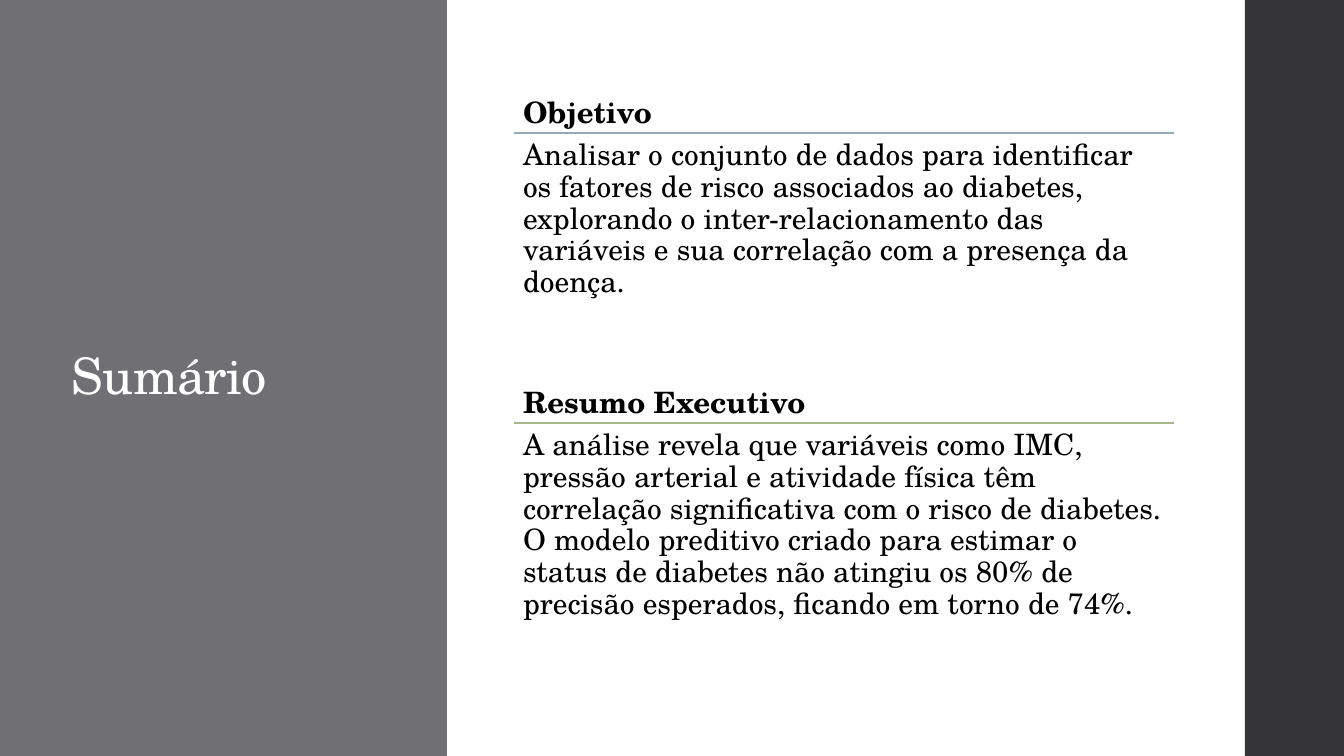
"""Build the summary slide with its objective and executive overview."""
from lxml import etree
from pptx import Presentation
from pptx.dml.color import RGBColor
from pptx.enum.shapes import MSO_CONNECTOR, MSO_SHAPE
from pptx.enum.text import MSO_ANCHOR
from pptx.oxml.ns import qn
from pptx.util import Emu, Pt

RECTANGLE = MSO_SHAPE.RECTANGLE
STRAIGHT = MSO_CONNECTOR.STRAIGHT
TOP = MSO_ANCHOR.TOP
MIDDLE = MSO_ANCHOR.MIDDLE
EMU_PER_PX = 12192000 / 1344
FONT = "TeX Gyre Schola"


def px(length):
    return Emu(round(length * EMU_PER_PX))


def color(hex_string):
    return RGBColor.from_string(hex_string)


presentation = Presentation()
presentation.slide_width = px(1344)
presentation.slide_height = px(756)
slide = presentation.slides.add_slide(presentation.slide_layouts[6])

for left, width, fill in [(0, 447, "6F6F74"), (1245, 99, "353537")]:
    panel = slide.shapes.add_shape(RECTANGLE, px(left), 0, px(width), px(756))
    panel.shadow.inherit = False
    panel.fill.solid()
    panel.fill.fore_color.rgb = color(fill)
    panel.line.fill.background()

sections = [
    (89, "92A9B9", "Objetivo",
     "Analisar o conjunto de dados para identificar os fatores de risco "
     "associados ao diabetes, explorando o inter-relacionamento das variáveis "
     "e sua correlação com a presença da doença."),
    (379, "A7B789", "Resumo Executivo",
     "A análise revela que variáveis como IMC, pressão arterial e atividade "
     "física têm correlação significativa com o risco de diabetes. O modelo "
     "preditivo criado para estimar o status de diabetes não atingiu os 80% "
     "de precisão esperados, ficando em torno de 74%."),
]
text_blocks = [(62, 92, 300, 572, 10, MIDDLE, 36, "FFFFFF", ["Sumário"])]

for top, line_color, heading, body in sections:
    line_y = px(top + 44)
    rule = slide.shapes.add_connector(STRAIGHT, px(514), line_y, px(1174), line_y)
    rule.line.color.rgb = color(line_color)
    rule.line.width = Pt(1.1)
    etree.SubElement(rule._element.spPr, qn("a:effectLst"))
    text_blocks.append((514, top, 660, 290, 9, TOP, 21, "000000", [heading, body]))

for left, top, width, height, inset, anchor, size, text_color, texts in text_blocks:
    box = slide.shapes.add_textbox(px(left), px(top), px(width), px(height))
    frame = box.text_frame
    frame.word_wrap = True
    frame.vertical_anchor = anchor
    frame.margin_left = frame.margin_right = px(inset)
    frame.margin_top = frame.margin_bottom = px(inset)
    frame.text = "\n".join(texts)
    for index, paragraph in enumerate(frame.paragraphs):
        paragraph.line_spacing = 0.9
        run = paragraph.runs[0]
        run.font.name = FONT
        run.font.size = Pt(size)
        run.font.color.rgb = color(text_color)
        if len(texts) == 1:
            run.font._element.set("spc", "-50")
        else:
            paragraph.space_after = Pt(7.5)
            run.font.bold = index == 0

presentation.save("out.pptx")
